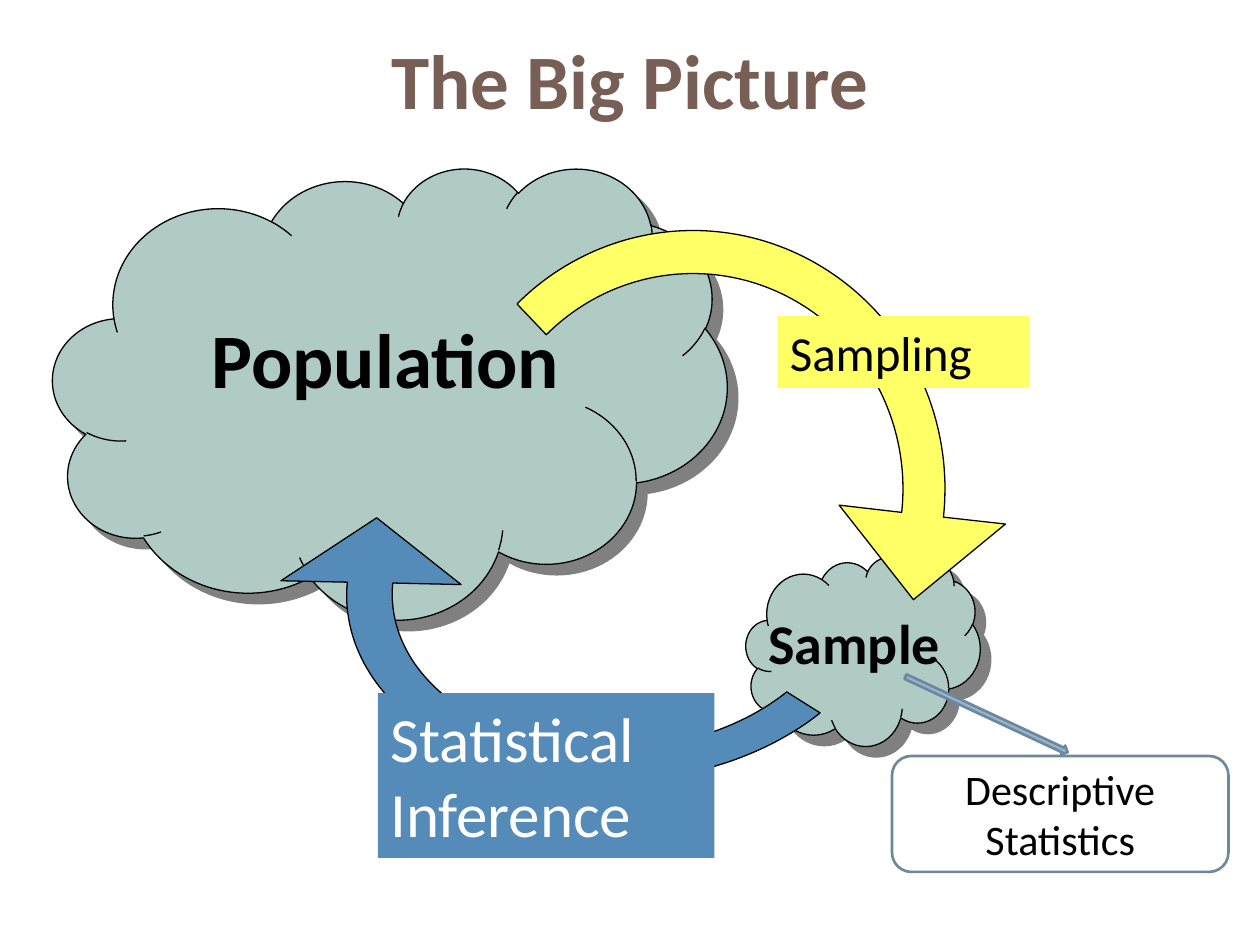
"""Build a slide showing how sampling and inference link a population to its sample."""
from math import cos, radians, sin

from lxml.etree import SubElement
from pptx import Presentation
from pptx.dml.color import RGBColor
from pptx.enum.shapes import MSO_SHAPE
from pptx.enum.text import MSO_ANCHOR, PP_ALIGN
from pptx.oxml.ns import qn
from pptx.util import Inches, Pt

COLORS = {
    "title": "775F55",
    "text": "000000",
    "inverse": "FFFFFF",
    "cloud": "B0CAC4",
    "shadow": "808080",
    "sampling": "FFFF66",
    "inference": "558BB8",
    "pointer": "94B6D2",
    "outline": "6D879B",
}


def color(name):
    """Return the named palette colour."""
    return RGBColor.from_string(COLORS[name])


class DiagramSlide:
    """Hold the style and the current slide, and draw each kind of element."""

    font_name = "Calibri"
    band_ratio = 5 / 6
    arc_steps = 90

    def __init__(self, presentation):
        """Add a title-only slide."""
        self.slide = presentation.slides.add_slide(presentation.slide_layouts[5])
        self.shapes = self.slide.shapes

    def set_text(self, shape, text, size, ink="text", bold=False,
                 align=PP_ALIGN.LEFT, anchor=MSO_ANCHOR.TOP):
        """Put one formatted paragraph into a shape."""
        frame = shape.text_frame
        frame.word_wrap = True
        frame.vertical_anchor = anchor
        paragraph = frame.paragraphs[0]
        paragraph.text = text
        paragraph.alignment = align
        formats = {"name": self.font_name, "size": Pt(size), "bold": bold}
        for attribute, value in formats.items():
            setattr(paragraph.font, attribute, value)
        paragraph.font.color.rgb = color(ink)

    def paint(self, shape, fill=None, line=None, width=0.75):
        """Set fill and line, and drop the theme shadow."""
        shape.shadow.inherit = False
        if fill:
            shape.fill.solid()
            shape.fill.fore_color.rgb = color(fill)
        else:
            shape.fill.background()
        if line:
            shape.line.color.rgb = color(line)
            shape.line.width = Pt(width)
        else:
            shape.line.fill.background()

    def title(self, text, box):
        """Fill and place the title placeholder."""
        heading = self.shapes.title
        for side, value in zip(("left", "top", "width", "height"), box):
            setattr(heading, side, Inches(value))
        self.set_text(heading, text, 44, "title", True, PP_ALIGN.CENTER, MSO_ANCHOR.MIDDLE)

    def label(self, text, box, size):
        """Add a bold text box."""
        caption = self.shapes.add_textbox(*map(Inches, box))
        self.set_text(caption, text, size, bold=True)
        return caption

    def preset(self, kind, box, **paint):
        """Add a painted preset shape."""
        shape = self.shapes.add_shape(kind, *map(Inches, box))
        self.paint(shape, **paint)
        return shape

    def cloud(self, box):
        """Add a cloud with a hard offset shadow."""
        cloud = self.preset(MSO_SHAPE.CLOUD, box, fill="cloud", line="text")
        effects = cloud._element.spPr.find(qn("a:effectLst"))
        shadow = SubElement(effects, qn("a:outerShdw"), dist=str(Pt(8.5)),
                            dir=str(45 * 60000), algn="ctr", rotWithShape="0")
        SubElement(shadow, qn("a:srgbClr"), val=COLORS["shadow"])
        return cloud

    def arc_arrow(self, center, radii, angles, head, fill, tilt=0):
        """Draw a curved band along an ellipse, ending in an arrowhead."""
        turn = radians(tilt)
        first, last = angles

        def arc(scale):
            for step in range(self.arc_steps + 1):
                angle = radians(first + (last - first) * step / self.arc_steps)
                u = radii[0] * scale * cos(angle)
                v = radii[1] * scale * sin(angle)
                yield (center[0] + u * cos(turn) - v * sin(turn),
                       center[1] + u * sin(turn) + v * cos(turn))

        outline = [*arc(1), *head, *reversed(list(arc(self.band_ratio)))]
        points = [(Inches(x), Inches(y)) for x, y in outline]
        builder = self.shapes.build_freeform(*points[0])
        builder.add_line_segments(points[1:], close=True)
        self.paint(builder.convert_to_shape(), fill, "text")


def main():
    """Assemble and save the slide."""
    presentation = Presentation()
    presentation.slide_width, presentation.slide_height = Inches(10), Inches(7.5)
    diagram = DiagramSlide(presentation)
    diagram.title("The Big Picture", (0.5, 0, 9, 1.25))

    diagram.cloud((0.42, 1.33, 5.35, 3.58))
    diagram.label("Population", (1.58, 2.42, 3.42, 0.84), 44)

    sample_cloud = diagram.cloud((5.92, 4.42, 1.86, 1.5))
    sample_label = diagram.label("Sample", (6, 4.78, 1.93, 0.64), 32)
    diagram.shapes.add_group_shape([sample_cloud, sample_label])

    diagram.arc_arrow((5.5, 3.88), (2, 2.05), (225.7, 366.3),
                      [(7.98, 4.16), (7.25, 4.76), (6.66, 4.01)], "sampling")
    sampling = diagram.preset(MSO_SHAPE.RECTANGLE, (6.17, 2.51, 2, 0.57), fill="sampling")
    diagram.set_text(sampling, "Sampling", 28)

    diagram.arc_arrow((4.92, 4.66), (2.17, 1.54), (45.4, 186.5),
                      [(2.23, 4.61), (2.99, 4.11), (3.66, 4.64)], "inference", tilt=-3.6)
    inference = diagram.preset(MSO_SHAPE.RECTANGLE, (3, 5.5, 2.67, 1.31), fill="inference")
    diagram.set_text(inference, "Statistical Inference", 36, "inverse")

    descriptive = diagram.preset(MSO_SHAPE.ROUNDED_RECTANGLE, (7.08, 6, 2.67, 0.92),
                                 line="outline", width=1.5)
    diagram.set_text(descriptive, "Descriptive Statistics", 24,
                     align=PP_ALIGN.CENTER, anchor=MSO_ANCHOR.MIDDLE)
    pointer = diagram.preset(MSO_SHAPE.RIGHT_ARROW, (7.12, 5.63, 1.42, 0.08),
                             fill="pointer", line="outline", width=1.5)
    pointer.rotation = 25

    presentation.save("out.pptx")


if __name__ == "__main__":
    main()
